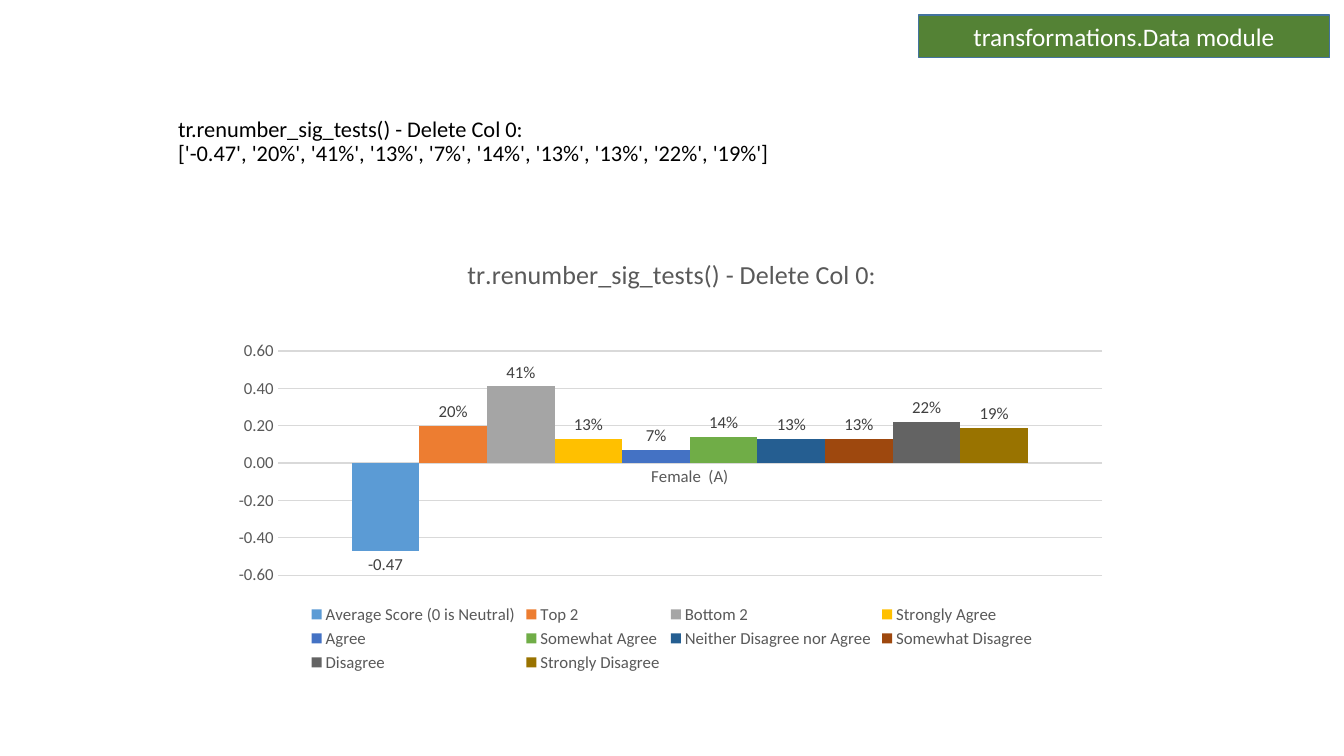
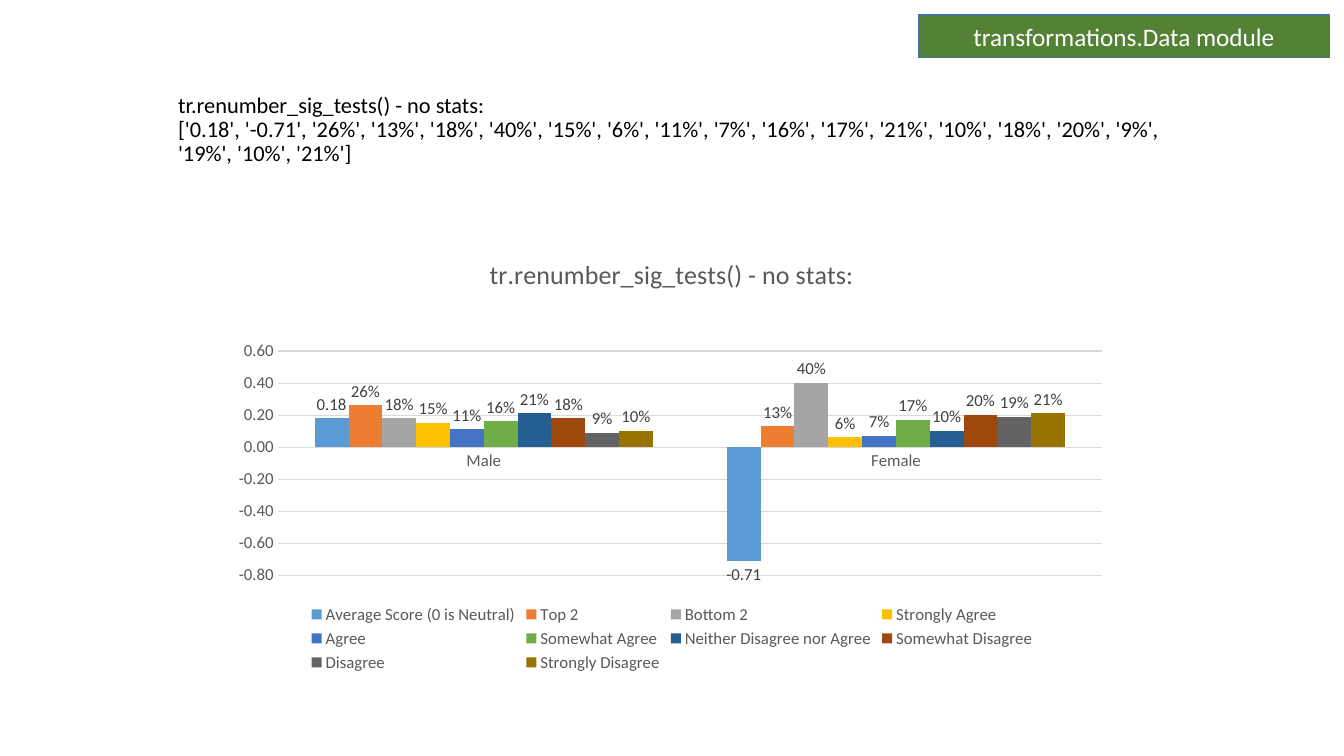
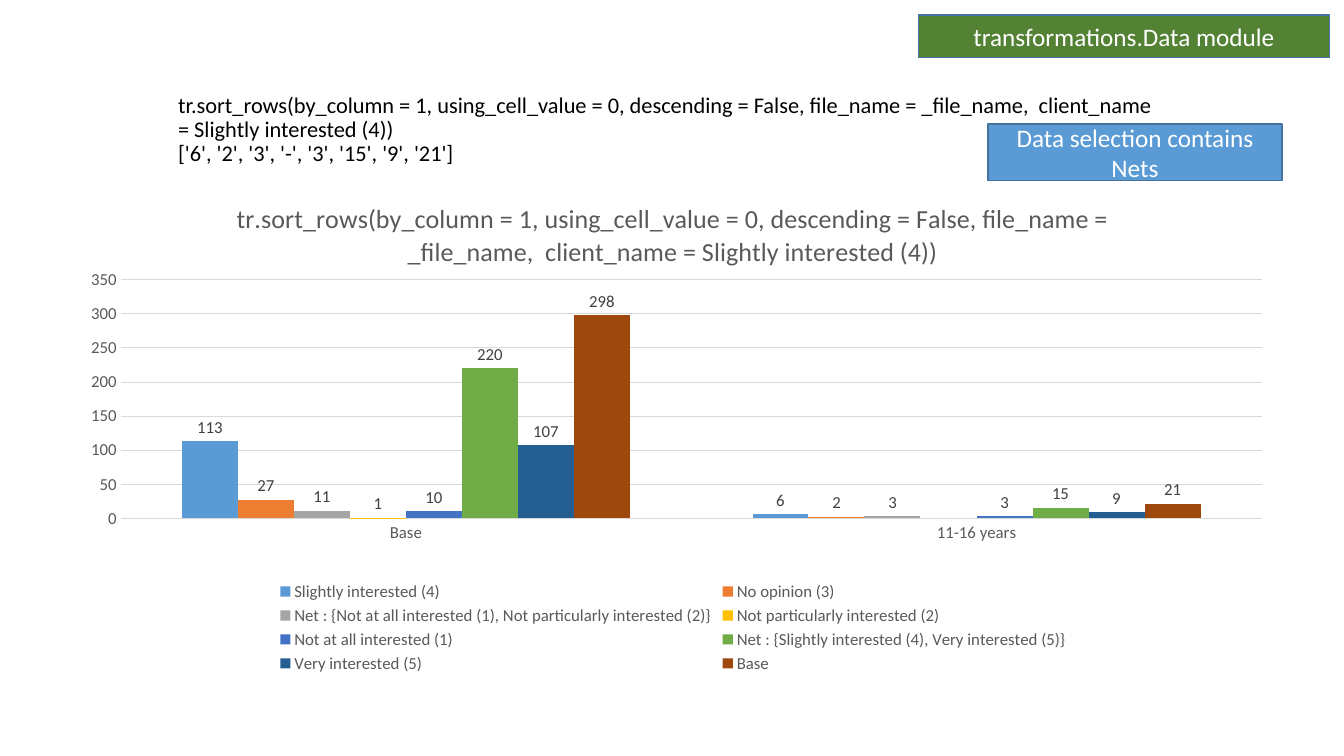
"""Build three slides that show data transformations as clustered column charts."""
from dataclasses import dataclass

from lxml import etree
from pptx import Presentation
from pptx.chart.data import CategoryChartData
from pptx.dml.color import RGBColor
from pptx.enum import chart as charts, shapes, text
from pptx.oxml import ns
from pptx.util import Pt


@dataclass(frozen=True)
class Theme:
    font: str = "Calibri"
    title_size: float = 16
    box_size: float = 18
    chart_title_size: float = 18.6
    chart_size: float = 12
    black: str = "000000"
    white: str = "FFFFFF"
    green: str = "548235"
    blue: str = "5B9BD5"
    outline: str = "43739E"
    axis_text: str = "595959"
    label_text: str = "404040"
    grid: str = "D9D9D9"
    series: tuple = ("5B9BD5", "ED7D31", "A5A5A5", "FFC000", "4472C4",
                     "70AD47", "255E91", "9E480E", "636363", "997300")


THEME = Theme()
TITLE_AT = (120, 67.7, 720, 54.7)
BAND_AT = (655.9, 10.8, 293.8, 30.2)
BADGE_AT = (705.6, 88.6, 210.2, 40.3)
BAND_TEXT = "transformations.Data module"

SCORES = {
    "at": (160, 169.2, 640, 313.9),
    "plot": (0.06, 0.26, 0.92, 0.51),
    "axis_format": "0.00",
    "names": ["Average Score (0 is Neutral)", "Top 2", "Bottom 2", "Strongly Agree", "Agree",
              "Somewhat Agree", "Neither Disagree nor Agree", "Somewhat Disagree",
              "Disagree", "Strongly Disagree"],
    "formats": ["0.00"] + ["0%"] * 9,
}
COUNTS = {
    "at": (51.8, 128.9, 858.2, 355),
    "plot": (0.04, 0.2, 0.95, 0.48),
    "axis_format": "0",
    "names": ["Slightly interested (4)", "No opinion (3)",
              "Net : {Not at all interested (1), Not particularly interested (2)}",
              "Not particularly interested (2)", "Not at all interested (1)",
              "Net : {Slightly interested (4), Very interested (5)}",
              "Very interested (5)", "Base"],
    "formats": ["0"] * 8,
}

PAGES = [
    {
        "heading": "tr.renumber_sig_tests() - Delete Col 0:",
        "result": "['-0.47', '20%', '41%', '13%', '7%', '14%', '13%', '13%', '22%', '19%']",
        "style": SCORES,
        "scale": (-0.6, 0.6, 0.2),
        "columns": {
            "Female  (A)": [-0.47, 0.2, 0.41, 0.13, 0.07, 0.14, 0.13, 0.13, 0.22, 0.19],
        },
    },
    {
        "heading": "tr.renumber_sig_tests() - no stats:",
        "result": "['0.18', '-0.71', '26%', '13%', '18%', '40%', '15%', '6%', '11%', '7%', "
                  "'16%', '17%', '21%', '10%', '18%', '20%', '9%', '19%', '10%', '21%']",
        "style": SCORES,
        "scale": (-0.8, 0.6, 0.2),
        "columns": {
            "Male": [0.18, 0.26, 0.18, 0.15, 0.11, 0.16, 0.21, 0.18, 0.09, 0.1],
            "Female": [-0.71, 0.13, 0.4, 0.06, 0.07, 0.17, 0.1, 0.2, 0.19, 0.21],
        },
    },
    {
        "heading": "tr.sort_rows(by_column = 1, using_cell_value = 0, descending = False, "
                   "file_name = _file_name,  client_name = Slightly interested (4))",
        "result": "['6', '2', '3', '-', '3', '15', '9', '21']",
        "style": COUNTS,
        "scale": (0, 350, 50),
        "columns": {
            "Base": [113, 27, 11, 1, 10, 220, 107, 298],
            "11-16 years": [6, 2, 3, None, 3, 15, 9, 21],
        },
        "badge": "Data selection contains Nets",
    },
]


def rgb(color):
    return RGBColor.from_string(color)


def points(lengths):
    return [Pt(length) for length in lengths]


def style_font(font, size, color):
    font.name = THEME.font
    font.size = Pt(size)
    font.bold = False
    font.color.rgb = rgb(color)


def add_span(para, words, size, color):
    span = para.add_run()
    span.text = words
    style_font(span.font, size, color)


def set_line(line, color, width):
    line.color.rgb = rgb(color)
    line.width = Pt(width)


def fill_title(page, heading, result):
    title = page.shapes.title
    title.left, title.top, title.width, title.height = points(TITLE_AT)
    frame = title.text_frame
    frame.word_wrap = True
    frame.auto_size = text.MSO_AUTO_SIZE.NONE
    frame.vertical_anchor = text.MSO_ANCHOR.BOTTOM
    para = frame.paragraphs[0]
    para.alignment = text.PP_ALIGN.LEFT
    para.line_spacing = 0.9
    add_span(para, heading, THEME.title_size, THEME.black)
    para.add_line_break()
    add_span(para, result, THEME.title_size, THEME.black)


def add_box(page, at, words, fill):
    box = page.shapes.add_shape(shapes.MSO_SHAPE.RECTANGLE, *points(at))
    box.shadow.inherit = False
    box.fill.solid()
    box.fill.fore_color.rgb = rgb(fill)
    set_line(box.line, THEME.outline, 1)
    frame = box.text_frame
    frame.word_wrap = True
    frame.vertical_anchor = text.MSO_ANCHOR.MIDDLE
    para = frame.paragraphs[0]
    para.alignment = text.PP_ALIGN.CENTER
    add_span(para, words, THEME.box_size, THEME.white)


def place_plot(chart, bounds):
    plot_area = chart.element.xpath("c:chart/c:plotArea")[0]
    for old in plot_area.findall(ns.qn("c:layout")):
        plot_area.remove(old)
    layout = etree.Element(ns.qn("c:layout"))
    plot_area.insert(0, layout)
    manual = etree.SubElement(layout, ns.qn("c:manualLayout"))
    settings = [("layoutTarget", "inner"), ("xMode", "edge"), ("yMode", "edge")]
    for tag, value in settings + list(zip("xywh", bounds)):
        etree.SubElement(manual, ns.qn(f"c:{tag}")).set("val", str(value))


def style_axes(chart, scale, number_format):
    for axis in (chart.category_axis, chart.value_axis):
        axis.major_tick_mark = axis.minor_tick_mark = charts.XL_TICK_MARK.NONE
        style_font(axis.tick_labels.font, THEME.chart_size, THEME.axis_text)
    set_line(chart.category_axis.format.line, THEME.grid, 0.75)
    values = chart.value_axis
    values.minimum_scale, values.maximum_scale, values.major_unit = scale
    values.format.line.fill.background()
    values.has_major_gridlines = True
    set_line(values.major_gridlines.format.line, THEME.grid, 0.75)
    values.tick_labels.number_format = number_format
    values.tick_labels.number_format_is_linked = False


def style_series(plot, formats):
    plot.gap_width = 219
    plot.overlap = 0
    plot.vary_by_categories = False
    for series, color, number_format in zip(plot.series, THEME.series, formats):
        series.invert_if_negative = False
        series.format.fill.solid()
        series.format.fill.fore_color.rgb = rgb(color)
        labels = series.data_labels
        labels.show_value = True
        labels.position = charts.XL_LABEL_POSITION.OUTSIDE_END
        labels.number_format = number_format
        labels.number_format_is_linked = False
        style_font(labels.font, THEME.chart_size, THEME.label_text)


def add_columns(page, heading, style, scale, columns):
    data = CategoryChartData()
    data.categories = list(columns)
    rows = zip(*columns.values())
    for name, number_format, row in zip(style["names"], style["formats"], rows):
        data.add_series(name, row, number_format)
    kind = charts.XL_CHART_TYPE.COLUMN_CLUSTERED
    chart = page.shapes.add_chart(kind, *points(style["at"]), data).chart
    style_font(chart.font, THEME.chart_size, THEME.axis_text)
    chart.has_title = True
    add_span(chart.chart_title.text_frame.paragraphs[0], heading,
             THEME.chart_title_size, THEME.axis_text)
    chart.has_legend = True
    chart.legend.position = charts.XL_LEGEND_POSITION.BOTTOM
    chart.legend.include_in_layout = False
    style_font(chart.legend.font, THEME.chart_size, THEME.axis_text)
    style_axes(chart, scale, style["axis_format"])
    style_series(chart.plots[0], style["formats"])
    place_plot(chart, style["plot"])


def main():
    deck = Presentation()
    deck.slide_width, deck.slide_height = Pt(960), Pt(540)
    title_only = deck.slide_layouts[5]
    for content in PAGES:
        page = deck.slides.add_slide(title_only)
        fill_title(page, content["heading"], content["result"])
        add_box(page, BAND_AT, BAND_TEXT, THEME.green)
        add_columns(page, content["heading"], content["style"],
                    content["scale"], content["columns"])
        if "badge" in content:
            add_box(page, BADGE_AT, content["badge"], THEME.blue)
    deck.save("out.pptx")


if __name__ == "__main__":
    main()
